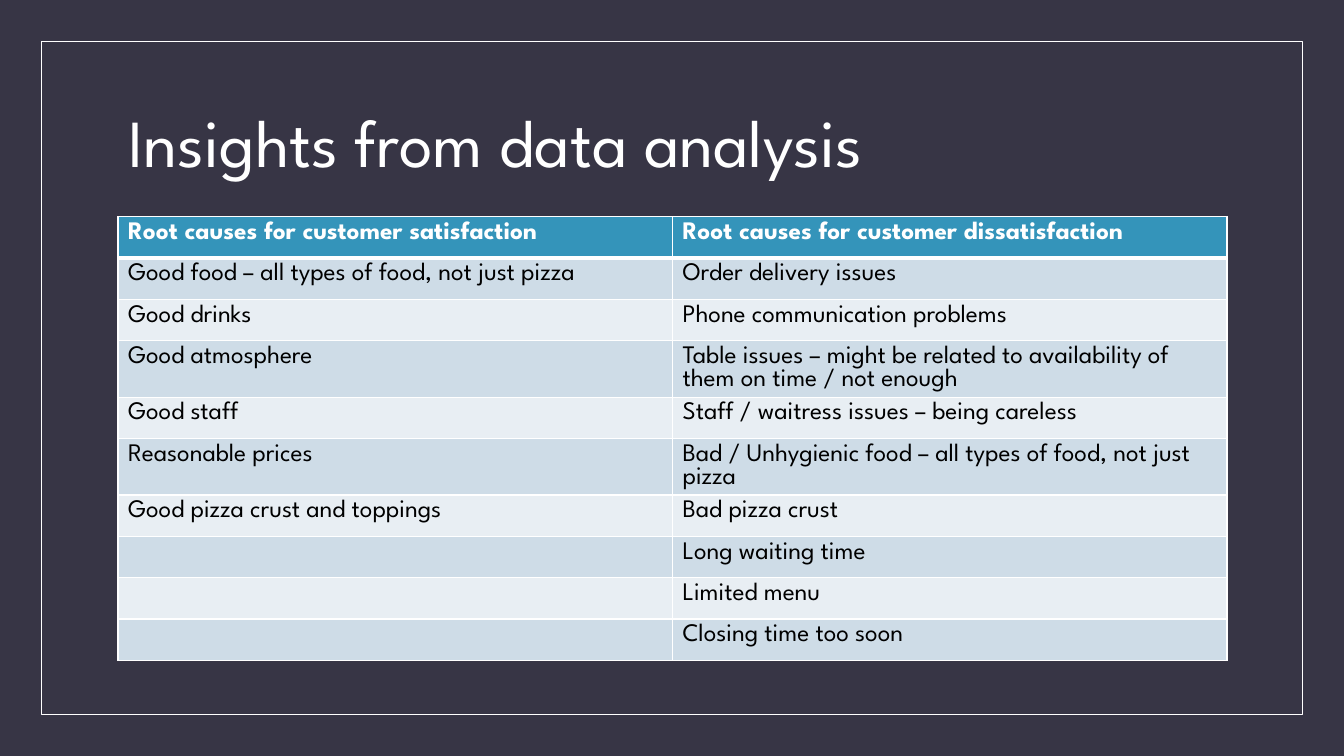
from dataclasses import dataclass

from lxml.etree import SubElement
from pptx import Presentation
from pptx.dml.color import RGBColor
from pptx.enum.shapes import MSO_SHAPE as Preset
from pptx.enum.text import MSO_ANCHOR as Anchor, MSO_AUTO_SIZE as AutoSize, PP_ALIGN as Align
from pptx.oxml.ns import qn
from pptx.util import Inches, Pt


@dataclass(frozen=True)
class Theme:
    font: str = "League Spartan"
    background: str = "373545"
    light: str = "FFFFFF"
    dark: str = "000000"
    header: str = "3494BA"
    bands: tuple = ("CEDCE7", "E8EEF3")
    title_size: int = 48
    table_size: int = 18
    frame_line: float = 0.5
    grid_line: int = 1
    header_line: int = 3


THEME = Theme()
SLIDE_WIDTH, SLIDE_HEIGHT = Inches(13.33), Inches(7.5)
FRAME_MARGIN = Inches(0.41)
CONTENT_LEFT, CONTENT_WIDTH = Inches(1.17), Inches(11)
TITLE_TOP, TITLE_HEIGHT = Inches(0.7), Inches(1.5)
TABLE_TOP, ROW_HEIGHT = Inches(2.15), Inches(0.41)

CAUSES = (
    ("Root causes for customer satisfaction", "Root causes for customer dissatisfaction"),
    ("Good food – all types of food, not just pizza", "Order delivery issues"),
    ("Good drinks", "Phone communication problems"),
    ("Good atmosphere", "Table issues – might be related to availability of them on time / not enough"),
    ("Good staff", "Staff / waitress issues – being careless"),
    ("Reasonable prices", "Bad / Unhygienic food – all types of food, not just pizza"),
    ("Good pizza crust and toppings", "Bad pizza crust"),
    ("", "Long waiting time"),
    ("", "Limited menu"),
    ("", "Closing time too soon"),
)


def color(value):
    return RGBColor.from_string(value)


def format_text(paragraph, size, text_color, bold=False):
    for run in paragraph.runs:
        run.font.name = THEME.font
        run.font.size = Pt(size)
        run.font.bold = bold
        run.font.color.rgb = color(text_color)


def add_frame(slide):
    frame = slide.shapes.add_shape(
        Preset.RECTANGLE, FRAME_MARGIN, FRAME_MARGIN,
        SLIDE_WIDTH - 2 * FRAME_MARGIN, SLIDE_HEIGHT - 2 * FRAME_MARGIN)
    frame.shadow.inherit = False
    frame.fill.background()
    frame.line.color.rgb = color(THEME.light)
    frame.line.width = Pt(THEME.frame_line)


def set_title(slide, text):
    title = slide.shapes.title
    title.left, title.top = CONTENT_LEFT, TITLE_TOP
    title.width, title.height = CONTENT_WIDTH, TITLE_HEIGHT
    text_frame = title.text_frame
    text_frame.text = text
    text_frame.auto_size = AutoSize.NONE
    text_frame.vertical_anchor = Anchor.MIDDLE
    paragraph = text_frame.paragraphs[0]
    paragraph.alignment = Align.LEFT
    paragraph.line_spacing = 0.9
    format_text(paragraph, THEME.title_size, THEME.light)


def set_borders(cell, top, bottom):
    properties = cell._tc.get_or_add_tcPr()
    widths = {"L": THEME.grid_line, "R": THEME.grid_line, "T": top, "B": bottom}
    for side, width in widths.items():
        line = SubElement(properties, qn(f"a:ln{side}"), w=str(Pt(width)))
        fill = SubElement(line, qn("a:solidFill"))
        SubElement(fill, qn("a:srgbClr"), val=THEME.light)


def style_cell(cell, text, row_index):
    is_header = row_index == 0
    top = THEME.header_line if row_index == 1 else THEME.grid_line
    bottom = THEME.header_line if is_header else THEME.grid_line
    set_borders(cell, top, bottom)
    cell.fill.solid()
    band = THEME.bands[(row_index - 1) % len(THEME.bands)]
    cell.fill.fore_color.rgb = color(THEME.header if is_header else band)
    cell.text_frame.text = text
    text_color = THEME.light if is_header else THEME.dark
    format_text(cell.text_frame.paragraphs[0], THEME.table_size, text_color, is_header)


def add_causes_table(slide, rows):
    column_count = len(rows[0])
    table = slide.shapes.add_table(
        len(rows), column_count, CONTENT_LEFT, TABLE_TOP,
        CONTENT_WIDTH, ROW_HEIGHT * len(rows)).table
    for row_index, texts in enumerate(rows):
        for column_index, text in enumerate(texts):
            style_cell(table.cell(row_index, column_index), text, row_index)


def main():
    presentation = Presentation()
    presentation.slide_width, presentation.slide_height = SLIDE_WIDTH, SLIDE_HEIGHT
    slide = presentation.slides.add_slide(presentation.slide_layouts.get_by_name("Title Only"))
    slide.background.fill.solid()
    slide.background.fill.fore_color.rgb = color(THEME.background)
    add_frame(slide)
    set_title(slide, "Insights from data analysis")
    add_causes_table(slide, CAUSES)
    presentation.save("out.pptx")


if __name__ == "__main__":
    main()
